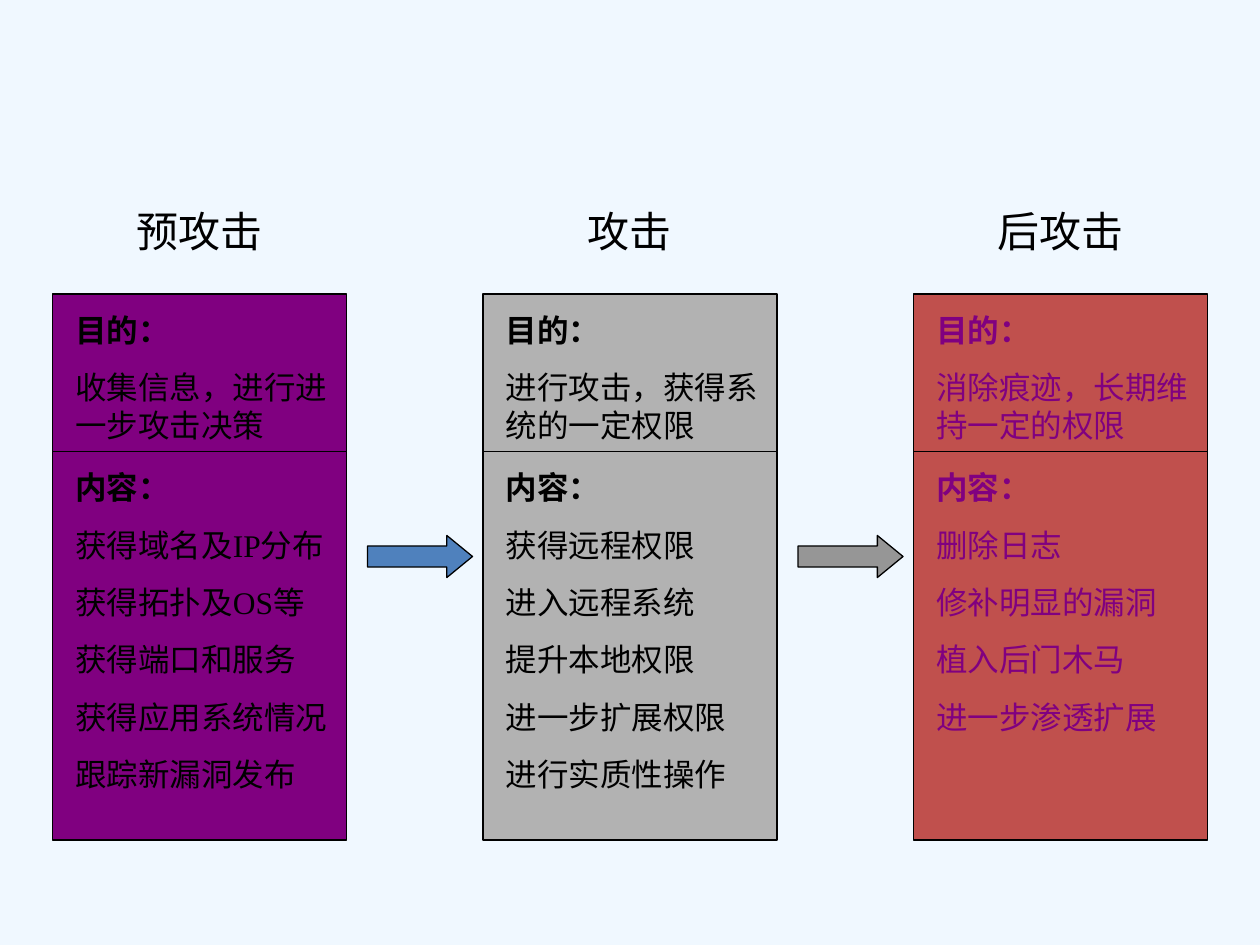
from math import ceil

from pptx import Presentation
from pptx.dml.color import RGBColor
from pptx.enum.shapes import MSO_SHAPE
from pptx.enum.text import MSO_AUTO_SIZE, PP_ALIGN
from pptx.util import Pt

EMU_PER_PX = 7620
FONT = "Times New Roman"
BLACK, PURPLE, GREY, RED = "000000", "800080", "B2B2B2", "C0504D"
CHARACTERS_PER_LINE = 8
COLUMN_LEFT, COLUMN_TOP, COLUMN_PITCH = 50, 190, 410
COLUMN_WIDTH = 280

STAGES = [
    ("预攻击", PURPLE, BLACK, None, "收集信息，进行进一步攻击决策",
     ["获得域名及IP分布", "获得拓扑及OS等", "获得端口和服务",
      "获得应用系统情况", "跟踪新漏洞发布"]),
    ("攻击", GREY, BLACK, "4F81BD", "进行攻击，获得系统的一定权限",
     ["获得远程权限", "进入远程系统", "提升本地权限",
      "进一步扩展权限", "进行实质性操作"]),
    ("后攻击", RED, PURPLE, "969696", "消除痕迹，长期维持一定的权限",
     ["删除日志", "修补明显的漏洞", "植入后门木马", "进一步渗透扩展"]),
]


def px(*lengths):
    return [length * EMU_PER_PX for length in lengths]


def paint(fill, color):
    fill.solid()
    fill.fore_color.rgb = RGBColor.from_string(color)


def add_block(shapes, kind, left, top, width, height, color):
    block = shapes.add_shape(kind, *px(left, top, width, height))
    block.shadow.inherit = False
    paint(block.fill, color)
    paint(block.line.fill, BLACK)
    block.line.width = Pt(0.75)
    return block


def add_text(shapes, left, top, width, height, lines, size, color,
             bold_first=False, align=PP_ALIGN.LEFT):
    box = shapes.add_textbox(*px(left, top, width, height))
    frame = box.text_frame
    frame.word_wrap = True
    frame.auto_size = MSO_AUTO_SIZE.SHAPE_TO_FIT_TEXT
    for index, line in enumerate(lines):
        para = frame.add_paragraph() if index else frame.paragraphs[0]
        para.alignment = align
        if index:
            para.space_before = Pt(11.2)
        span = para.add_run()
        span.text = line
        span.font.name = FONT
        span.font.size = Pt(size)
        span.font.bold = bold_first and index == 0
        paint(span.font.fill, color)


def add_panel(shapes, left, top, height, lines, fill, color):
    add_block(shapes, MSO_SHAPE.RECTANGLE, left, top, COLUMN_WIDTH, height, fill)
    rows = sum(ceil(len(line) / CHARACTERS_PER_LINE) for line in lines)
    text_height = 12 + 36 * rows + 19 * (len(lines) - 1)
    add_text(shapes, left + 10, top + 10, COLUMN_WIDTH - 10, text_height,
             lines, 18, color, bold_first=True)


def add_stage(shapes, left, top, stage):
    title, fill, color, arrow_color, goal, contents = stage
    add_text(shapes, left + 40, top, 200, 60, [title], 24, BLACK,
             align=PP_ALIGN.CENTER)
    add_panel(shapes, left, top + 240, 370, ["内容：", *contents], fill, color)
    add_panel(shapes, left, top + 90, 150, ["目的：", goal], fill, color)
    if arrow_color:
        arrow = add_block(shapes, MSO_SHAPE.RIGHT_ARROW,
                          left - 110, top + 320, 100, 40, arrow_color)
        arrow.adjustments[1] = 0.61


def main():
    deck = Presentation()
    deck.slide_width, deck.slide_height = px(1200, 900)
    page = deck.slides.add_slide(deck.slide_layouts[6])
    paint(page.background.fill, "F0F8FF")
    for index, stage in enumerate(STAGES):
        shapes = page.shapes.add_group_shape().shapes if index else page.shapes
        add_stage(shapes, COLUMN_LEFT + index * COLUMN_PITCH, COLUMN_TOP, stage)
    deck.save("out.pptx")


if __name__ == "__main__":
    main()
